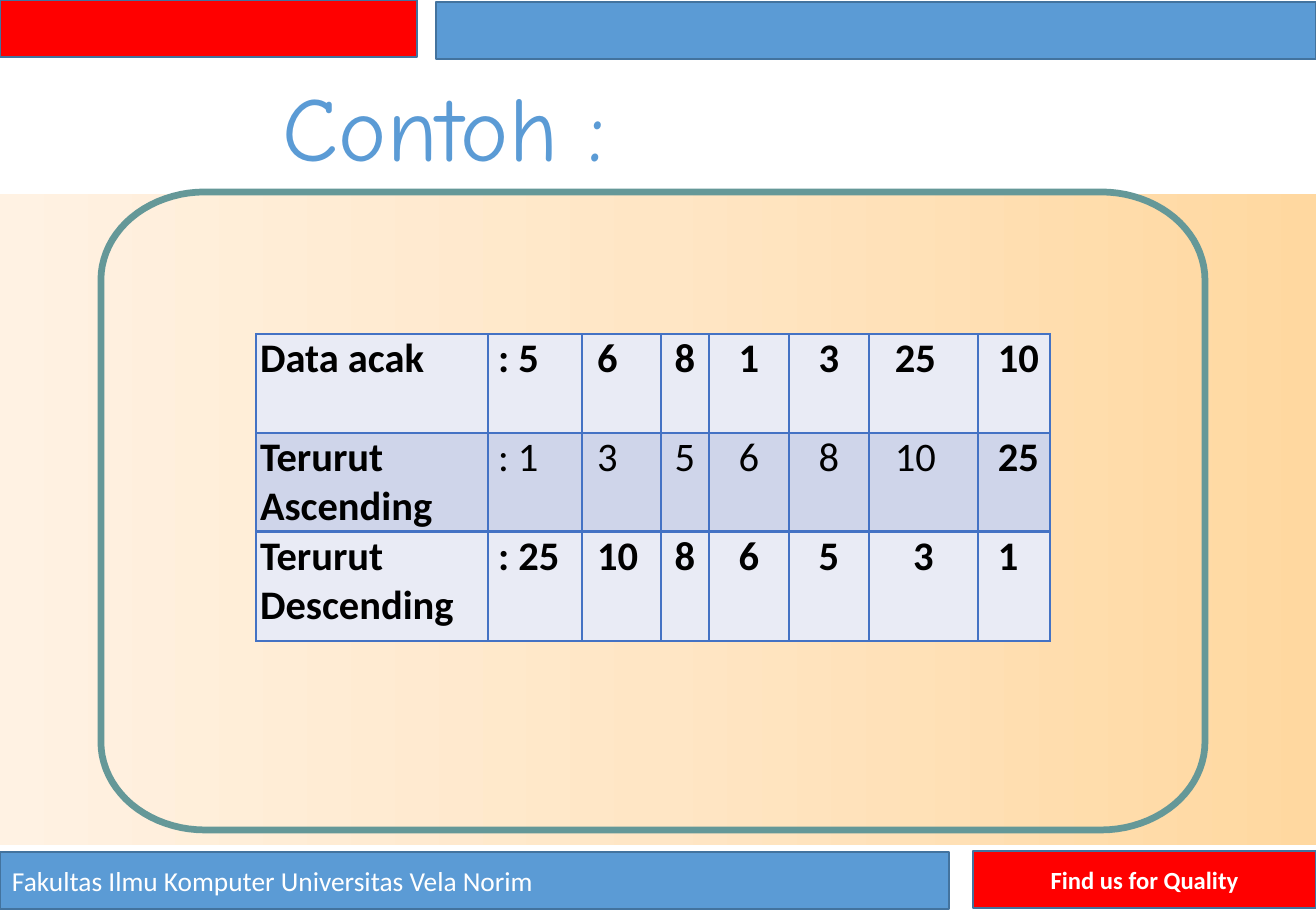
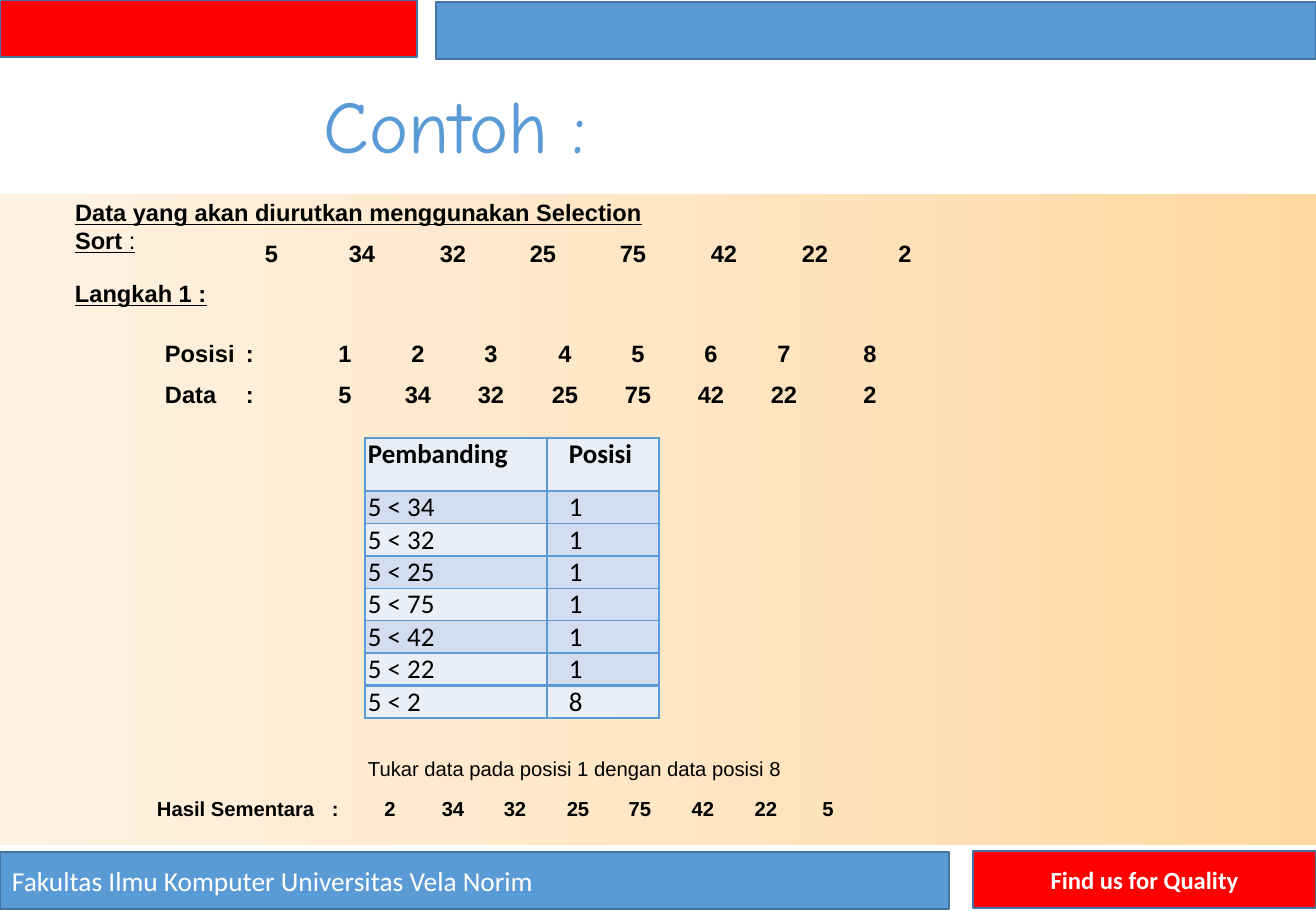
from copy import deepcopy
from math import cos, pi, sin

from lxml import etree
from pptx import Presentation
from pptx.dml.color import RGBColor
from pptx.enum.shapes import MSO_SHAPE
from pptx.enum.text import MSO_ANCHOR, PP_ALIGN
from pptx.oxml.ns import qn
from pptx.util import Emu, Pt

RECTANGLE = MSO_SHAPE.RECTANGLE
LEFT, CENTER = PP_ALIGN.LEFT, PP_ALIGN.CENTER
TOP, MIDDLE = MSO_ANCHOR.TOP, MSO_ANCHOR.MIDDLE

RED = RGBColor(0xFF, 0x00, 0x00)
BLUE = RGBColor(0x5B, 0x9B, 0xD5)
BAND_EDGE = RGBColor(0x43, 0x73, 0x9E)
TEAL = RGBColor(0x65, 0x98, 0x98)
WHITE = RGBColor(0xFF, 0xFF, 0xFF)
BLACK = RGBColor(0x00, 0x00, 0x00)
SAND = [RGBColor(0xFF, 0xD8, 0xA0), RGBColor(0xFF, 0xE6, 0xC5),
        RGBColor(0xFF, 0xF2, 0xE3)]
SORT_EDGE = RGBColor(0x44, 0x72, 0xC4)
SORT_LIGHT = RGBColor(0xE9, 0xEB, 0xF5)
SORT_DARK = RGBColor(0xCF, 0xD5, 0xEA)
STEP_LIGHT = RGBColor(0xEA, 0xEF, 0xF7)
STEP_DARK = RGBColor(0xD2, 0xDE, 0xEF)

BODY, PLAIN, TITLE = "Calibri", "Arial", "Comic Neue"
PIXELS_PER_INCH = 121.5


def px(length):
    """Turn pixels into EMU."""
    return Emu(round(length * 914400 / PIXELS_PER_INCH))


def add_span(para, text, size, font=PLAIN, color=BLACK, bold=False, underline=False):
    """Append one formatted run to a paragraph."""
    span = para.add_run()
    span.text = text
    span.font.size = Pt(size)
    span.font.name = font
    span.font.color.rgb = color
    span.font.bold = bold
    span.font.underline = underline


def add_box(page, left, top, width, height):
    """Add a wrapping text box without insets and return its text frame."""
    frame = page.shapes.add_textbox(px(left), px(top), px(width), px(height)).text_frame
    frame.word_wrap = True
    frame.margin_left = frame.margin_right = frame.margin_top = frame.margin_bottom = 0
    return frame


def add_title(page, left, top, width, height, size):
    """Add the slide heading."""
    frame = add_box(page, left, top, width, height)
    add_span(frame.paragraphs[0], "Contoh :", size, TITLE, BLUE)


def add_band(page, left, top, width, height, color):
    """Add one outlined band of the slide frame and return its paragraph."""
    band = page.shapes.add_shape(RECTANGLE, px(left), px(top), px(width), px(height))
    band.shadow.inherit = False
    band.fill.solid()
    band.fill.fore_color.rgb = color
    band.line.color.rgb = BAND_EDGE
    band.line.width = Pt(1)
    band.text_frame.vertical_anchor = MIDDLE
    return band.text_frame.paragraphs[0]


def add_backdrop(page, left, top, width, height):
    """Add the sand gradient behind the content."""
    backdrop = page.shapes.add_shape(RECTANGLE, px(left), px(top), px(width), px(height))
    backdrop.shadow.inherit = False
    backdrop.line.fill.background()
    backdrop.fill.gradient()
    backdrop.fill.gradient_angle = 180
    stops = backdrop.element.spPr.find(".//" + qn("a:gsLst"))
    stops.insert(1, deepcopy(stops[0]))
    for index, stop in enumerate(backdrop.fill.gradient_stops):
        stop.color.rgb = SAND[index]
        stop.position = index / 2


def add_page(deck):
    """Add a slide with the shared backdrop, bands and footer."""
    page = deck.slides.add_slide(deck.slide_layouts[6])
    add_backdrop(page, 0, 194, 1316, 651)
    add_band(page, 0, 0, 417, 57, RED)
    add_band(page, 436, 2, 880, 57, BLUE)
    faculty = add_band(page, 0, 852, 949, 57, BLUE)
    faculty.alignment = LEFT
    add_span(faculty, "Fakultas Ilmu Komputer Universitas Vela Norim", 16.2, BODY, WHITE)
    motto = add_band(page, 973, 851, 343, 57, RED)
    motto.alignment = CENTER
    add_span(motto, "Find us for Quality", 14.6, BODY, WHITE, bold=True)
    return page


def add_rounded_frame(page, left, top, width, height, radius_x, radius_y):
    """Outline a box whose corners are quarter ellipses."""
    right, bottom = left + width, top + height
    centers = [(right - radius_x, bottom - radius_y), (left + radius_x, bottom - radius_y),
               (left + radius_x, top + radius_y), (right - radius_x, top + radius_y)]
    steps = 20
    points = []
    for quarter, (center_x, center_y) in enumerate(centers):
        for step in range(steps + 1):
            angle = (quarter + step / steps) * pi / 2
            points.append((px(center_x + radius_x * cos(angle)),
                           px(center_y + radius_y * sin(angle))))
    builder = page.shapes.build_freeform(*points[0])
    builder.add_line_segments(points[1:], close=True)
    outline = builder.convert_to_shape()
    outline.shadow.inherit = False
    outline.fill.background()
    outline.line.color.rgb = TEAL
    outline.line.width = Pt(4)


def set_borders(cell, color, top_width, bottom_width):
    """Draw the four cell borders; the sides are thin."""
    properties = cell._tc.get_or_add_tcPr()
    widths = [("a:lnL", 1), ("a:lnR", 1), ("a:lnT", top_width), ("a:lnB", bottom_width)]
    for place, (tag, width) in enumerate(widths):
        line = etree.Element(qn(tag), w=str(Pt(width)))
        fill = etree.SubElement(line, qn("a:solidFill"))
        etree.SubElement(fill, qn("a:srgbClr"), val=str(color))
        properties.insert(place, line)


def add_grid(page, left, top, widths, heights, edge):
    """Add an unbanded table with a thick rule above its last row."""
    table = page.shapes.add_table(len(heights), len(widths), px(left), px(top),
                                  px(sum(widths)), px(sum(heights))).table
    table.first_row = table.horz_banding = False
    for column, width in zip(table.columns, widths):
        column.width = px(width)
    for row, height in zip(table.rows, heights):
        row.height = px(height)
    last = len(heights) - 1
    for index, row in enumerate(table.rows):
        for cell in row.cells:
            set_borders(cell, edge, 2 if index == last else 1, 2 if index == last - 1 else 1)
    return table


def fill_cell(cell, text, size, color, indent, bold, align=LEFT):
    """Write one table cell on its own fill."""
    cell.margin_left = cell.margin_right = cell.margin_top = cell.margin_bottom = 0
    cell.vertical_anchor = TOP
    cell.fill.solid()
    cell.fill.fore_color.rgb = color
    para = cell.text_frame.paragraphs[0]
    para.alignment = align
    para._p.get_or_add_pPr().set("marL", str(px(indent)))
    add_span(para, text, size, BODY, bold=bold)


def add_sort_table(page, left, top):
    """Add the table of random, ascending and descending data."""
    rows = [["Data acak", ": 5", "6", "8", "1", "3", "25", "10"],
            ["Terurut Ascending", ": 1", "3", "5", "6", "8", "10", "25"],
            ["Terurut Descending", ": 25", "10", "8", "6", "5", "3", "1"]]
    indents = [4, 10, 15, 0, 0, 0, 26, 20]
    centered = (3, 4, 5)
    table = add_grid(page, left, top, [232, 94, 79, 48, 80, 80, 109, 72],
                     [99, 99, 109], SORT_EDGE)
    for r, row in enumerate(rows):
        for c, text in enumerate(row):
            middle = c in centered or (c == 6 and len(text) == 1)
            fill_cell(table.cell(r, c), text, 24, SORT_DARK if r == 1 else SORT_LIGHT,
                      0 if middle else indents[c], r != 1 or c in (0, 7),
                      CENTER if middle else LEFT)


def add_step_table(page, left, top):
    """Add the table of comparisons made in the first step."""
    others = [34, 32, 25, 75, 42, 22, 2]
    rows = [("Pembanding", "Posisi")]
    rows += [(f"5 < {other}", "1" if other > 5 else "8") for other in others]
    table = add_grid(page, left, top, [182, 112], [53] + [32] * len(others), BLUE)
    last = len(others)
    for r, (comparison, position) in enumerate(rows):
        shade = STEP_DARK if r % 2 and r < last else STEP_LIGHT
        position_shade = STEP_DARK if 0 < r < last else STEP_LIGHT
        fill_cell(table.cell(r, 0), comparison, 16, shade, 3, r == 0)
        fill_cell(table.cell(r, 1), position, 16, position_shade, 22, r == 0)


def add_number_lines(page, left, top, width, height, lines, stops, size, gap=0):
    """Add bold lines whose items stand on tab stops, given as (pixels, kind)."""
    frame = add_box(page, left, top, width, height)
    for index, items in enumerate(lines):
        para = frame.paragraphs[0] if index == 0 else frame.add_paragraph()
        if index:
            para.space_before = px(gap)
        tabs = etree.SubElement(para._p.get_or_add_pPr(), qn("a:tabLst"))
        for position, kind in stops:
            etree.SubElement(tabs, qn("a:tab"), pos=str(px(position)), algn=kind)
        add_span(para, "\t".join(items), size, bold=True)


def centered_stops(first, pitch, count):
    """Return evenly spaced centred tab stops."""
    return [(round(first + index * pitch), "ctr") for index in range(count)]


def add_sorting_slide(deck):
    """Build the slide that compares the sort orders."""
    page = add_page(deck)
    add_rounded_frame(page, 101, 192, 1104, 638, 104, 88)
    add_title(page, 283, 70, 503, 81, 54)
    add_sort_table(page, 256, 334)


def add_step_slide(deck):
    """Build the slide with the first step of selection sort."""
    page = add_page(deck)
    data = ["5", "34", "32", "25", "75", "42", "22", "2"]
    positions = [str(number) for number in range(1, len(data) + 1)]
    swapped = data[-1:] + data[1:-1] + data[:1]

    add_number_lines(page, 265, 239, 851, 28, [data], centered_stops(97, 90.5, 7), 14)
    add_title(page, 324, 79, 465, 51, 44)
    step = add_box(page, 75, 279, 300, 28).paragraphs[0]
    add_span(step, "Langkah 1 :", 14, bold=True, underline=True)
    add_number_lines(page, 165, 339, 966, 69,
                     [["Posisi", ":"] + positions, ["Data", ":"] + data],
                     [(81, "l")] + centered_stops(180, 73.2, 7) + [(705, "ctr")], 14, 13)
    add_step_table(page, 365, 438)

    heading = add_box(page, 75, 198, 631, 54).paragraphs[0]
    add_span(heading, "Data yang akan diurutkan menggunakan Selection Sort ", 14,
             bold=True, underline=True)
    add_span(heading, ":", 14, underline=True)
    swap = add_box(page, 368, 756, 760, 24).paragraphs[0]
    add_span(swap, "Tukar data pada posisi 1 dengan data posisi 8", 12)
    add_number_lines(page, 157, 796, 971, 24, [["Hasil Sementara", ":"] + swapped],
                     [(175, "l")] + centered_stops(233, 62.6, 8), 12)


deck = Presentation()
deck.slide_width, deck.slide_height = px(1316), px(911)
add_sorting_slide(deck)
add_step_slide(deck)
deck.save("out.pptx")
